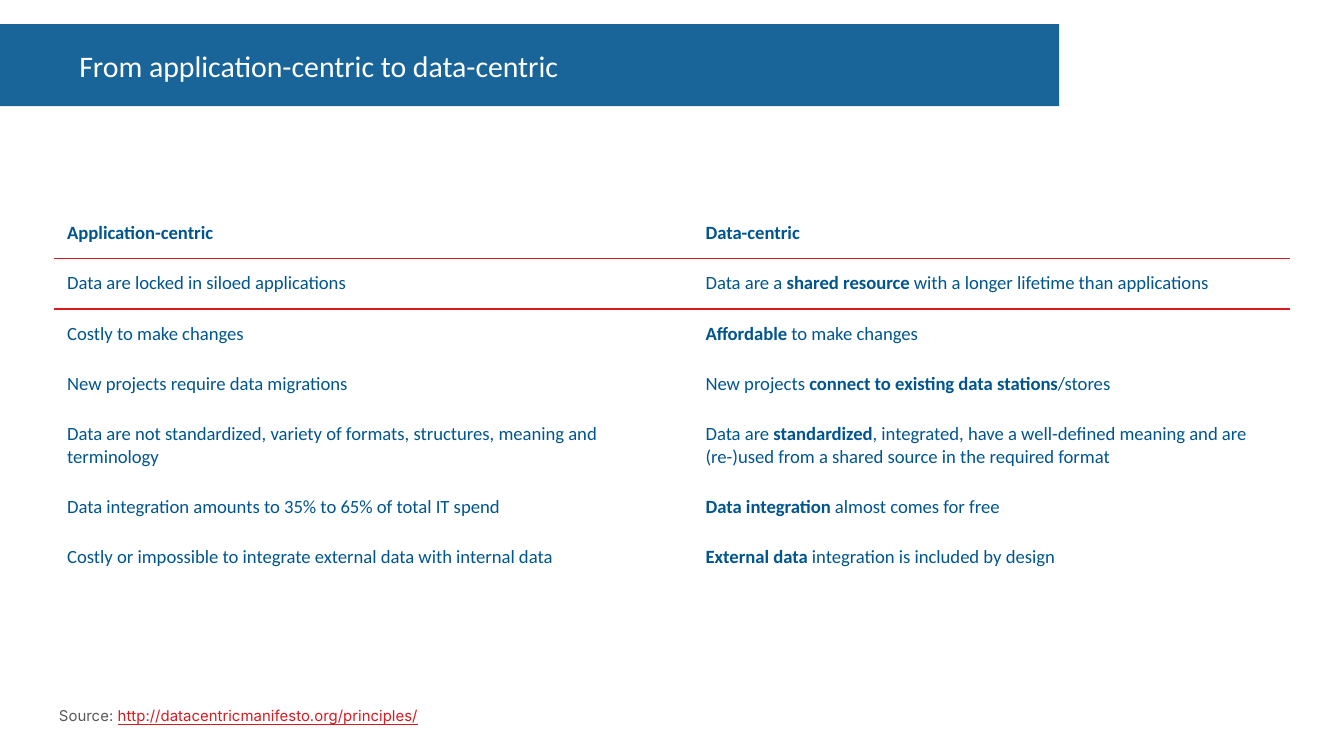
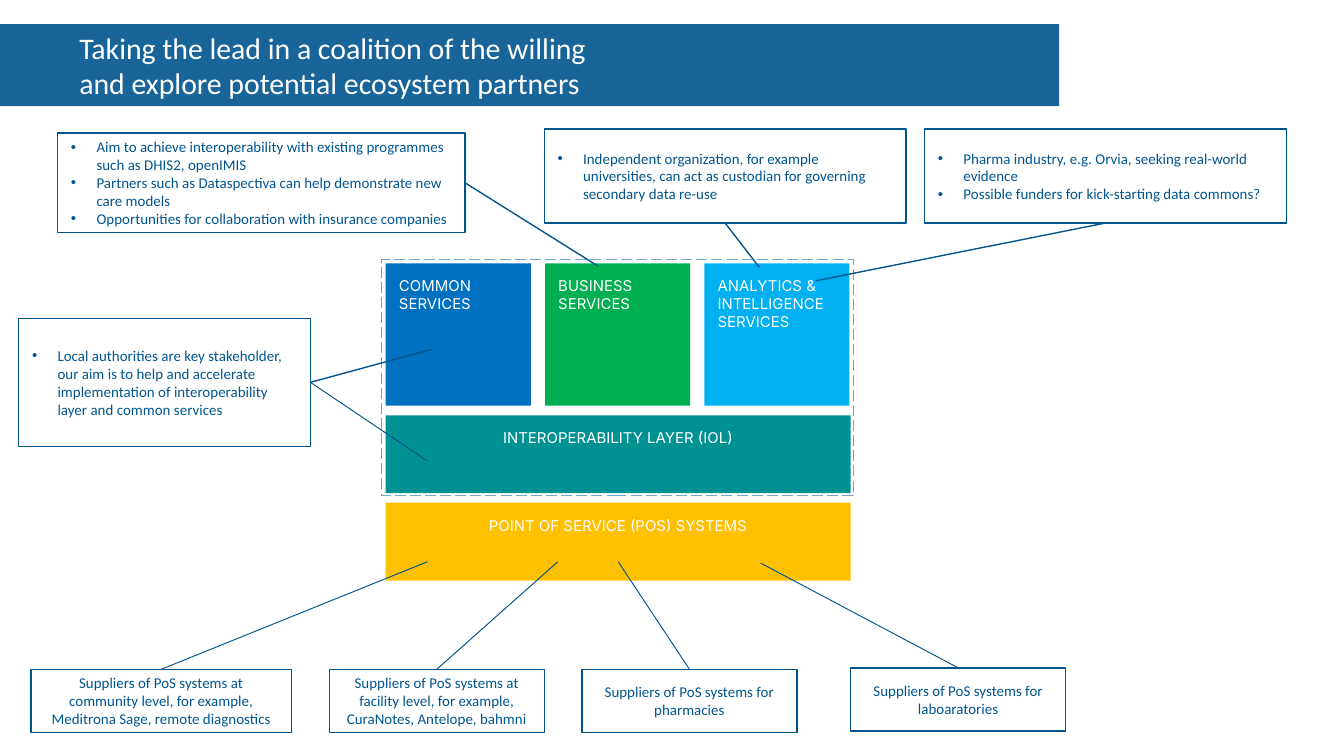
from dataclasses import dataclass

from lxml import etree
from pptx import Presentation
from pptx.dml.color import RGBColor
from pptx.enum import dml, shapes, text
from pptx.oxml import ns
from pptx.util import Inches, Pt


@dataclass(frozen=True)
class Theme:
    blue: str = "00558F"
    white: str = "FFFFFF"
    red: str = "D71920"
    gray: str = "595959"
    dash: str = "70A4D8"
    teal: str = "009193"
    gold: str = "FFC000"
    body: str = "Calibri"
    label: str = "Inter"
    head: float = 16
    cell: float = 10
    small: float = 8
    thin: float = 0.5
    edge: float = 0.75
    rule: float = 1


@dataclass(frozen=True)
class Block:
    words: str
    fill: str
    left: float
    top: float
    width: float
    height: float
    align: text.PP_ALIGN = text.PP_ALIGN.LEFT


@dataclass(frozen=True)
class Callout:
    """A bulleted box whose leader runs from a side (0-1 fractions) to a tip."""
    lines: tuple[str, ...]
    left: float
    top: float
    width: float
    height: float
    side: tuple[float, float]
    tip: tuple[float, float]


@dataclass(frozen=True)
class Supplier:
    words: str
    left: float
    width: float
    tip: tuple[float, float]
    top: float = 4.98


T = Theme()
NO_STYLE = "{2D5ABB26-0587-4C30-8999-92F81FD0307C}"
BELOW, RIGHT = (0.5, 1), (1, 0.5)

# Asterisks enclose bold words.
ROWS = [
    ("*Application-centric*", "*Data-centric*"),
    ("Data are locked in siloed applications",
     "Data are a *shared resource* with a longer lifetime than applications"),
    ("Costly to make changes", "*Affordable* to make changes"),
    ("New projects require data migrations",
     "New projects *connect to existing data stations*/stores"),
    ("Data are not standardized, variety of formats, structures, meaning and terminology",
     "Data are *standardized*, integrated, have a well-defined meaning and are "
     "(re-)used from a shared source in the required format"),
    ("Data integration amounts to 35% to 65% of total IT spend",
     "*Data integration* almost comes for free"),
    ("Costly or impossible to integrate external data with internal data",
     "*External data* integration is included by design"),
]
TALL_ROW = 4

STACK_LEFT, STACK_WIDTH = 2.87, 3.46
SERVICE_WIDTH, SERVICE_SPAN = 1.08, 3.45
SERVICE_STEP = (SERVICE_SPAN - SERVICE_WIDTH) / 2
SERVICES = [
    ("COMMON\nSERVICES", "0070C0"),
    ("BUSINESS\nSERVICES", "00B050"),
    ("ANALYTICS & INTELLIGENCE SERVICES", "00B0F0"),
]
LAYERS = [
    ("INTEROPERABILITY LAYER (IOL)", T.teal),
    ("POINT OF SERVICE (POS) SYSTEMS", T.gold),
]
BLOCKS = [
    Block(words, fill, STACK_LEFT + i * SERVICE_STEP, 1.96, SERVICE_WIDTH, 1.06)
    for i, (words, fill) in enumerate(SERVICES)
] + [
    Block(words, fill, STACK_LEFT, 3.09 + i * 0.65, STACK_WIDTH, 0.58,
          text.PP_ALIGN.CENTER)
    for i, (words, fill) in enumerate(LAYERS)
]

LOCAL = Callout(
    ("Local authorities are key stakeholder, our aim is to help and accelerate "
     "implementation of interoperability layer and common services",),
    0.14, 2.37, 2.17, 0.95, RIGHT, (3.21, 2.6))
CALLOUTS = [
    Callout(("Pharma industry, e.g. Orvia, seeking real-world evidence",
             "Possible funders for kick-starting data commons?"),
            6.88, 0.96, 2.69, 0.7, BELOW, (6.07, 2.09)),
    Callout(("Aim to achieve interoperability with existing programmes such as "
             "DHIS2, openIMIS",
             "Partners such as Dataspectiva can help demonstrate new care models",
             "Opportunities for collaboration with insurance companies"),
            0.43, 0.99, 3.03, 0.74, RIGHT, (4.45, 1.98)),
    LOCAL,
]
CUSTODIAN = Callout(
    ("Independent organization, for example universities, can act as "
     "custodian for governing secondary data re-use",),
    4.05, 0.96, 2.69, 0.7, BELOW, (5.65, 1.99))
SUPPLIERS = [
    Supplier("Suppliers of PoS systems at community level, for example, "
             "Meditrona Sage, remote diagnostics", 0.23, 1.94, (3.18, 4.18)),
    Supplier("Suppliers of PoS systems at facility level, for example, "
             "CuraNotes, Antelope, bahmni", 2.45, 1.6, (4.15, 4.18)),
    Supplier("Suppliers of PoS systems for pharmacies", 4.33, 1.6, (4.6, 4.18)),
    Supplier("Suppliers of PoS systems for laboaratories", 6.33, 1.6,
             (5.66, 4.19), 4.97),
]


def rgb(hue: str) -> RGBColor:
    return RGBColor.from_string(hue)


def box(*sides: float) -> list:
    return [Inches(side) for side in sides]


def style(run, size: float, hue: str, face: str, bold: bool = False) -> None:
    run.font.size, run.font.name, run.font.bold = Pt(size), face, bold
    run.font.color.rgb = rgb(hue)


def inset(frame, left: float, top: float, right: float, base: float) -> None:
    frame.margin_left, frame.margin_top = Inches(left), Inches(top)
    frame.margin_right, frame.margin_bottom = Inches(right), Inches(base)


def write(frame, words: str, size: float, hue: str, face: str,
          align=text.PP_ALIGN.LEFT, anchor=text.MSO_ANCHOR.MIDDLE) -> None:
    frame.text = words
    frame.word_wrap = True
    frame.auto_size = text.MSO_AUTO_SIZE.NONE
    frame.vertical_anchor = anchor
    for para in frame.paragraphs:
        para.alignment = align
        for run in para.runs:
            style(run, size, hue, face)


def bullet(para) -> None:
    props = para._p.get_or_add_pPr()
    props.set("marL", str(Inches(0.19)))
    props.set("indent", str(-Inches(0.19)))
    etree.SubElement(props, ns.qn("a:buFont"), typeface="Arial")
    etree.SubElement(props, ns.qn("a:buChar"), char="•")


def draw(parent, kind, sides: tuple, fill: str = "", line: str = ""):
    shape = parent.add_shape(kind, *box(*sides))
    shape.shadow.inherit = False
    if fill:
        shape.fill.solid()
        shape.fill.fore_color.rgb = rgb(fill)
    else:
        shape.fill.background()
    if line:
        shape.line.color.rgb = rgb(line)
        shape.line.width = Pt(T.edge)
    else:
        shape.line.fill.background()
    return shape


def link(slide, start: tuple, end: tuple):
    line = slide.shapes.add_connector(shapes.MSO_CONNECTOR.STRAIGHT,
                                      *box(*start, *end))
    line.line.color.rgb = rgb(T.blue)
    line.line.width = Pt(T.thin)
    etree.SubElement(line._element.spPr, ns.qn("a:effectLst"))
    return line


def start(deck, words: str):
    """Add a slide with its title band."""
    slide = deck.slides.add_slide(deck.slide_layouts[5])
    title = slide.shapes.title
    title.left, title.top, title.width, title.height = box(0, 0.18, 7.88, 0.61)
    title.fill.solid()
    title.fill.fore_color.rgb = rgb(T.blue)
    hue = title._element.spPr.find(".//" + ns.qn("a:srgbClr"))
    etree.SubElement(hue, ns.qn("a:alpha"), val="90000")
    write(title.text_frame, words, T.head, T.white, T.body)
    inset(title.text_frame, 0.59, 0.05, 0.1, 0.05)
    return slide


def border(cell, side: str) -> None:
    line = etree.Element(ns.qn(f"a:{side}"), w=str(Pt(T.rule)))
    fill = etree.SubElement(line, ns.qn("a:solidFill"))
    etree.SubElement(fill, ns.qn("a:srgbClr"), val=T.red)
    cell._tc.get_or_add_tcPr().insert(0, line)


def compare(slide) -> None:
    """Draw the comparison table."""
    frame = slide.shapes.add_table(len(ROWS), 2, *box(0.4, 1.55, 9.2, 2.79))
    table = frame.table
    table.first_row = table.horz_banding = False
    table._tbl.tblPr.find(ns.qn("a:tableStyleId")).text = NO_STYLE
    for col, width in zip(table.columns, (4.75, 4.45)):
        col.width = Inches(width)
    rules = {0: "lnB", 1: "lnT"}
    for i, words in enumerate(ROWS):
        table.rows[i].height = Inches(0.54 if i == TALL_ROW else 0.375)
        for j, phrase in enumerate(words):
            cell = table.cell(i, j)
            cell.fill.background()
            inset(cell, 0.1, 0.1, 0.1, 0.1)
            for k, part in enumerate(phrase.split("*")):
                if part:
                    run = cell.text_frame.paragraphs[0].add_run()
                    run.text = part
                    style(run, T.cell, T.blue, T.body, k % 2 == 1)
            if i in rules:
                border(cell, rules[i])


def source(slide) -> None:
    frame = slide.shapes.add_textbox(*box(0.34, 5.09, 9.32, 0.29)).text_frame
    write(frame, "Source: ", T.small, T.gray, T.label, anchor=text.MSO_ANCHOR.TOP)
    inset(frame, 0.1, 0.1, 0.1, 0.1)
    para = frame.paragraphs[0]
    para.line_spacing, para.space_after = 1.5, Pt(16)
    run = para.add_run()
    run.text = "http://datacentricmanifesto.org/principles/"
    style(run, T.small, T.red, T.label)
    run.font.underline = True


def stack(slide) -> None:
    """Draw the service blocks and layers inside their dashed frame."""
    group = slide.shapes.add_group_shape().shapes
    rect = shapes.MSO_SHAPE.RECTANGLE
    frame = draw(group, rect, (2.84, 1.93, 3.51, 1.76), line=T.dash)
    frame.line.dash_style = dml.MSO_LINE.LONG_DASH
    for b in BLOCKS:
        shape = draw(group, rect, (b.left, b.top, b.width, b.height), b.fill)
        write(shape.text_frame, b.words, T.small, T.white, T.label, b.align,
              text.MSO_ANCHOR.TOP)
        inset(shape.text_frame, 0.1, 0.1, 0.1, 0.1)


def call(slide, c: Callout) -> None:
    shape = draw(slide.shapes, shapes.MSO_SHAPE.LINE_CALLOUT_1,
                 (c.left, c.top, c.width, c.height), line=T.blue)
    ends = ((c.tip[1] - c.top) / c.height, (c.tip[0] - c.left) / c.width,
            c.side[1], c.side[0])
    for i, value in enumerate(ends):
        shape.adjustments[i] = value
    write(shape.text_frame, "\n".join(c.lines), T.small, T.blue, T.body)
    for para in shape.text_frame.paragraphs:
        bullet(para)


def supply(slide, s: Supplier) -> None:
    shape = draw(slide.shapes, shapes.MSO_SHAPE.RECTANGLE,
                 (s.left, s.top, s.width, 0.47), line=T.blue)
    write(shape.text_frame, s.words, T.small, T.blue, T.body, text.PP_ALIGN.CENTER)
    line = link(slide, (s.left + s.width / 2, s.top), s.tip)
    line.begin_connect(shape, 0)


def main() -> None:
    deck = Presentation()
    deck.slide_width, deck.slide_height = box(10, 5.625)

    slide = start(deck, "From application-centric to data-centric")
    compare(slide)
    source(slide)

    slide = start(deck, "Taking the lead in a coalition of the willing\v"
                        "and explore potential ecosystem partners")
    stack(slide)
    for item in CALLOUTS:
        call(slide, item)
    link(slide, (LOCAL.left + LOCAL.width, LOCAL.top + LOCAL.height / 2), (3.18, 3.43))
    for item in SUPPLIERS:
        supply(slide, item)
    call(slide, CUSTODIAN)

    deck.save("out.pptx")


if __name__ == "__main__":
    main()
